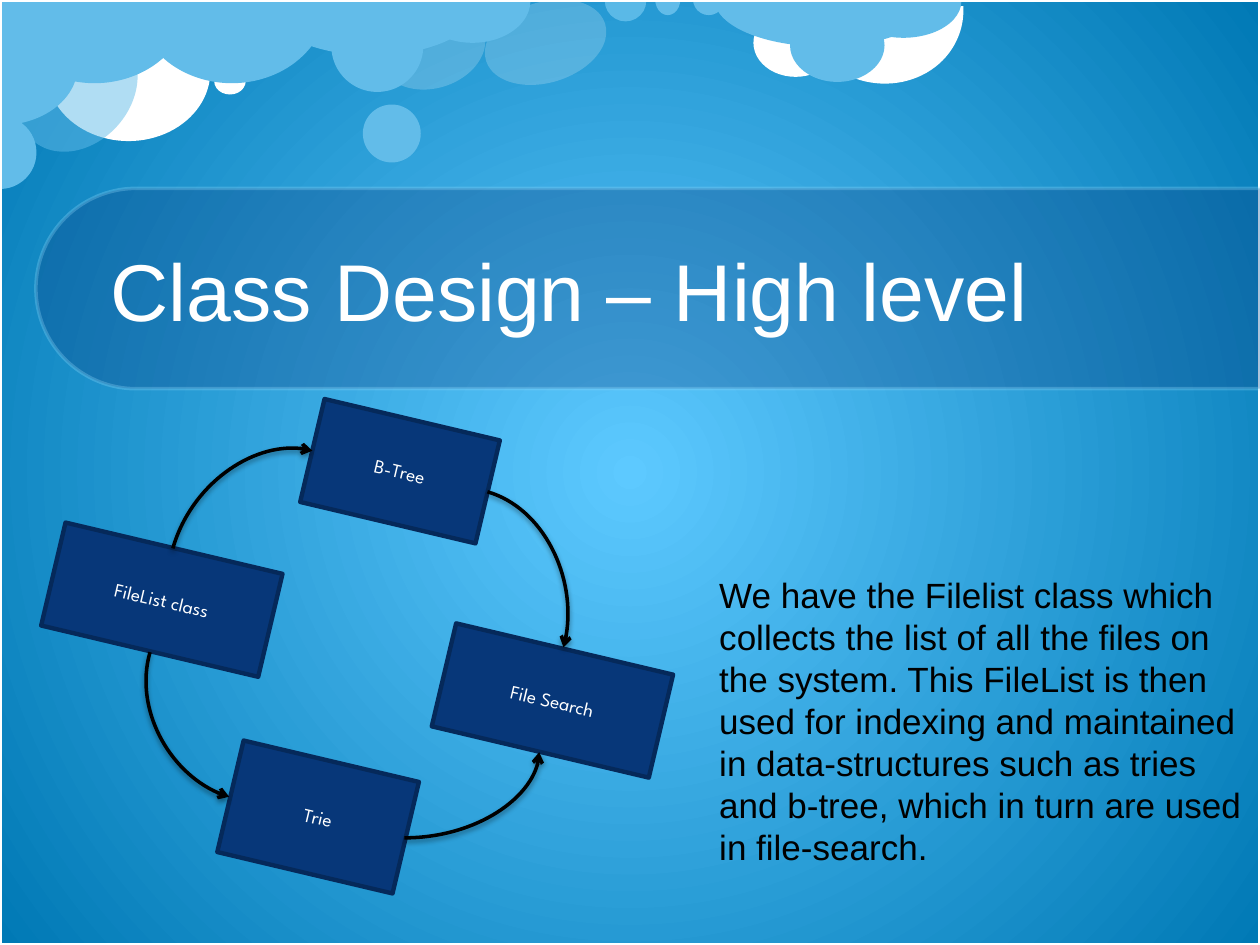
from lxml import etree
from pptx import Presentation
from pptx import util as u
from pptx.dml.color import RGBColor
from pptx.enum import shapes, text
from pptx.oxml import parse_xml
from pptx.oxml.ns import nsdecls, qn

Inches, Pt = u.Inches, u.Pt
Kind = shapes.MSO_SHAPE

theme = {
    "glow": "5DC9FF", "sky": "0079B5", "cloud": "62BCE9", "pale": "8FD9FB",
    "white": "FFFFFF", "black": "000000", "navy": "073779", "edge": "05295A",
    "title": {"name": "Arial", "size": Pt(46)},
    "box": {"name": "League Spartan", "size": Pt(11)},
    "note": {"name": "Arial", "size": Pt(20)},
}


def add_part(kind, box, fill=None, line=None, width=0, rotation=0, alpha=100, adjust=()):
    """Add a flat preset shape; alpha is the opacity of fill and line in percent."""
    part = slide.shapes.add_shape(kind, *map(Inches, box))
    part.shadow.inherit = False
    part.rotation = rotation
    for index, value in enumerate(adjust):
        part.adjustments[index] = value
    for target, color in ((part.fill, fill), (part.line.fill, line)):
        if color:
            target.solid()
            target.fore_color.rgb = RGBColor.from_string(theme[color])
        else:
            target.background()
    if line:
        part.line.width = Pt(width)
    if alpha < 100:
        for color in part._element.spPr.iter(qn("a:srgbClr")):
            etree.SubElement(color, qn("a:alpha")).set("val", str(alpha * 1000))
    return part


def write(frame, words, style, color, align=None):
    """Put one paragraph in a text frame and format it from the theme."""
    frame.word_wrap = True
    paragraph = frame.paragraphs[0]
    paragraph.alignment = align
    run = paragraph.add_run()
    run.text = words
    for name, value in theme[style].items():
        setattr(run.font, name, value)
    run.font.color.rgb = RGBColor.from_string(theme[color])
    return paragraph


deck = Presentation()
deck.slide_width, deck.slide_height = Inches(10), Inches(7.5)
slide = deck.slides.add_slide(deck.slide_layouts[5])

# Sky: radial gradient from the centre
sky = slide.background.fill
sky.gradient()
for stop, color in zip(sky.gradient_stops, ("glow", "sky")):
    stop.color.rgb = RGBColor.from_string(theme[color])
linear = next(slide._element.iter(qn("a:lin")))
linear.getparent().replace(linear, parse_xml(
    f'<a:path {nsdecls("a")} path="circle">'
    '<a:fillToRect l="50000" t="50000" r="50000" b="50000"/></a:path>'))

# Clouds, back to front: kind, box, fill, rotation, opacity
OVAL, HALF, ARC = Kind.OVAL, Kind.PIE, Kind.ARC
sweeps = {OVAL: (), HALF: (0, 108), ARC: (151.8, 44.48)}
clouds = [
    (OVAL, (3.11, -0.05, 0.64, 0.86), "white", 72.8, 20),
    (OVAL, (0.37, 0.01, 1.3, 1.11), "white", 0, 100),
    (ARC, (6.39, -0.6, 1.21, 1.31), "white", 106.5, 100),
    (OVAL, (5.98, 0.07, 0.67, 0.54), "white", 0, 100),
    (HALF, (-0.01, -0.66, 1.52, 1.32), "cloud", 0, 100),
    (HALF, (2.08, -0.44, 1.75, 0.88), "cloud", 0, 100),
    (OVAL, (2.88, 0.83, 0.46, 0.46), "cloud", 0, 100),
    (OVAL, (0.19, 0.18, 0.85, 1.07), "cloud", 41.8, 50),
    (HALF, (-0.29, 0.92, 0.58, 0.58), "cloud", 270, 100),
    (OVAL, (1.7, 0.54, 0.25, 0.21), "white", 0, 100),
    (HALF, (1.08, -0.66, 1.52, 1.32), "cloud", 0, 100),
    (HALF, (5.67, -0.38, 1.75, 0.75), "cloud", 0, 100),
    (OVAL, (6.27, 0.07, 0.75, 0.58), "cloud", 0, 100),
    (HALF, (6.71, -0.28, 0.92, 0.58), "cloud", 0, 100),
    (OVAL, (4.01, -0.16, 0.64, 0.99), "white", 72.8, 20),
    (HALF, (4.8, -0.16, 0.33, 0.33), "pale", 0, 50),
    (HALF, (5.2, -0.13, 0.2, 0.25), "cloud", 0, 100),
    (HALF, (5.5, -0.13, 0.25, 0.25), "cloud", 0, 100),
    (OVAL, (2.63, 0, 0.73, 0.73), "cloud", 0, 100),
    (HALF, (3.29, -0.33, 0.92, 0.67), "cloud", 0, 100),
    (HALF, (-0.47, -0.09, 0.93, 1.24), "cloud", 270, 100),
]
for kind, box, fill, rotation, alpha in clouds:
    add_part(kind, box, fill, rotation=rotation, alpha=alpha, adjust=sweeps[kind])

# Slide border and title band
add_part(Kind.RECTANGLE, (0, 0, 10, 7.5), line="white", width=2)
add_part(Kind.ROUND_2_SAME_RECTANGLE, (4.35, -2.57, 1.59, 9.72), "navy", "pale", 2,
         rotation=270, alpha=30, adjust=(0.5, 0))

# Title, brought in front of the band
title = slide.shapes.title
slide.shapes._spTree.append(title._element)
title.left, title.top, title.width, title.height = map(Inches, (0.78, 1.5, 8.44, 1.58))
title.text_frame.vertical_anchor = text.MSO_ANCHOR.MIDDLE
heading = write(title.text_frame, "Class Design – High level", "title", "white",
                text.PP_ALIGN.LEFT)
heading.line_spacing = Pt(56)

# Class boxes, all tilted alike
classes = [
    ("FileList class", (0.4, 4.34, 1.77, 0.84)),
    ("File Search", (3.5, 5.14, 1.77, 0.84)),
    ("B-Tree", (2.46, 3.32, 1.43, 0.84)),
    ("Trie", (1.81, 6.03, 1.43, 0.91)),
]
for label, box in classes:
    node = add_part(Kind.RECTANGLE, box, "navy", "edge", 2.5, rotation=13.3)
    node.text_frame.vertical_anchor = text.MSO_ANCHOR.MIDDLE
    write(node.text_frame, label, "box", "white", text.PP_ALIGN.CENTER)

# Curved arrows: start and end before the turn, then the turn in degrees
flows = [
    ((3.21, 6.65), (4.28, 5.97), 0),    # Trie to File Search
    ((1.97, 5.29), (1.04, 6.21), 286),  # FileList class to Trie
    ((3.71, 4.01), (4.63, 5.03), 16),   # B-Tree to File Search
    ((2.45, 4.39), (1.4, 3.54), 106),   # FileList class to B-Tree
]
for start, end, turn in flows:
    flow = slide.shapes.add_connector(shapes.MSO_CONNECTOR.CURVE, *map(Inches, start + end))
    flow.line.color.rgb = RGBColor.from_string(theme["black"])
    flow.line.width = Pt(2)
    properties = flow._element.spPr
    properties.find(qn("a:prstGeom")).set("prst", "curvedConnector2")
    if turn:
        properties.find(qn("a:xfrm")).set("rot", str(turn * 60000))
    etree.SubElement(properties.find(qn("a:ln")), qn("a:tailEnd")).set("type", "arrow")
    properties.append(parse_xml(
        f'<a:effectLst {nsdecls("a")}>'
        f'<a:outerShdw blurRad="{Pt(3.1)}" dist="{Pt(1.6)}" dir="5400000" rotWithShape="0">'
        f'<a:srgbClr val="{theme["black"]}"><a:alpha val="38000"/></a:srgbClr>'
        '</a:outerShdw></a:effectLst>'))

# Explanation
note = slide.shapes.add_textbox(*map(Inches, (5.61, 4.5, 4.39, 2.46)))
write(note.text_frame,
      "We have the Filelist class which collects the list of all the files on the system. "
      "This FileList is then used for indexing and maintained in data-structures such as "
      "tries and b-tree, which in turn are used in file-search.", "note", "black")

deck.save("out.pptx")
